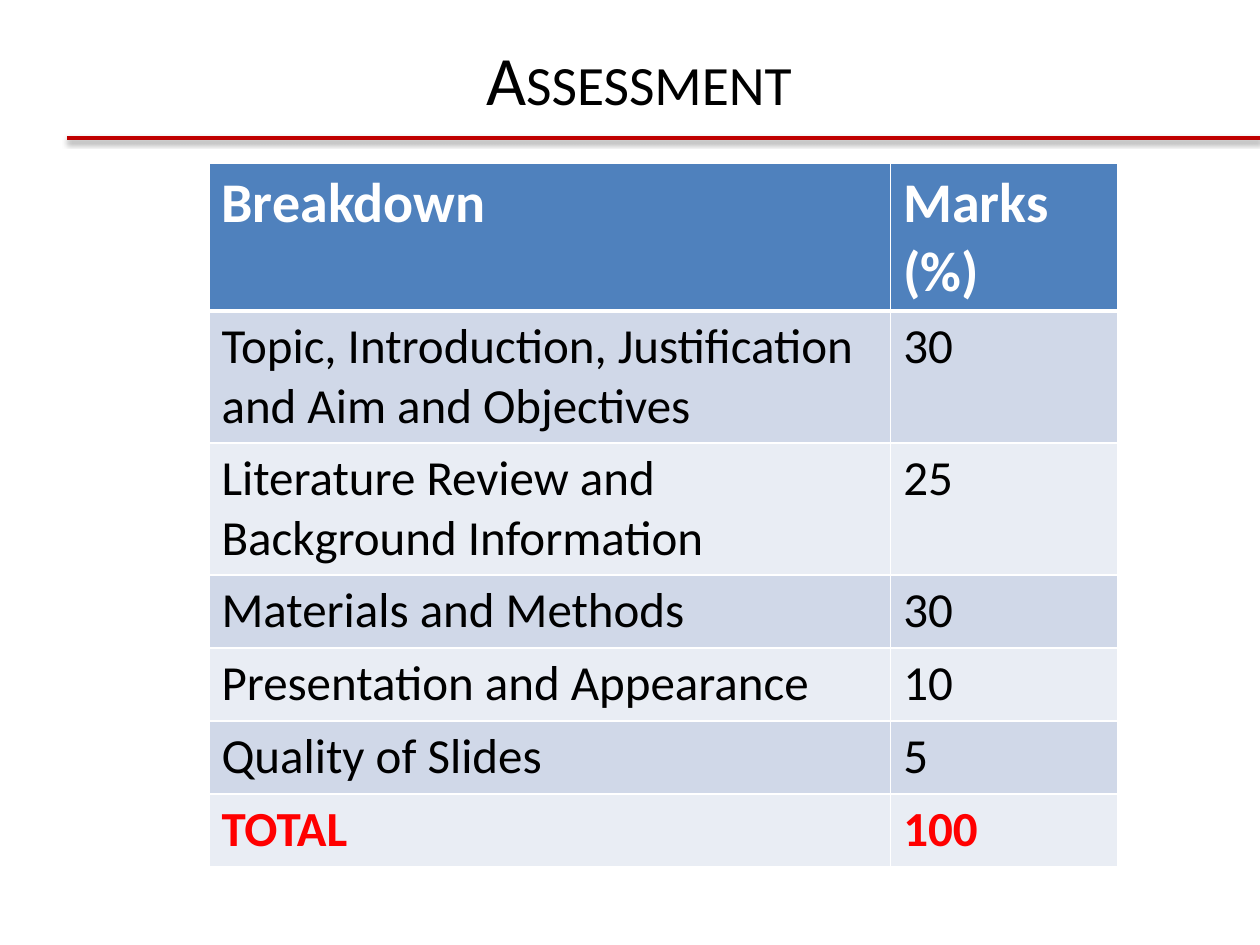
from dataclasses import dataclass

from lxml.etree import SubElement
from pptx import Presentation
from pptx.dml.color import RGBColor
from pptx.enum.shapes import MSO_CONNECTOR
from pptx.enum.text import MSO_ANCHOR, PP_ALIGN
from pptx.oxml import parse_xml
from pptx.oxml.ns import nsdecls, qn
from pptx.util import Pt

SCALE = 914400 / 126


@dataclass(frozen=True)
class Theme:
    face: str = "Calibri"
    black: str = "000000"
    white: str = "FFFFFF"
    red: str = "FF0000"
    rule: str = "C00000"
    head: str = "4F81BD"
    bands: tuple = ("D0D8E8", "E9EDF4")
    title_pt: float = 39.6
    head_pt: float = 32
    body_pt: float = 28


THEME = Theme()

ROWS = [
    ("Breakdown", "Marks (%)"),
    ("Topic, Introduction, Justification and Aim and Objectives", "30"),
    ("Literature Review and Background Information", "25"),
    ("Materials and Methods", "30"),
    ("Presentation and Appearance", "10"),
    ("Quality of Slides", "5"),
    ("TOTAL", "100"),
]


def px(num):
    return round(num * SCALE)


def style(font, color, **look):
    for name, value in {"name": THEME.face, **look}.items():
        setattr(font, name, value)
    font.color.rgb = RGBColor.from_string(color)


def add_title(slide, box, text):
    frame = slide.shapes.add_textbox(*map(px, box)).text_frame
    for name, value in {"word_wrap": True, "vertical_anchor": MSO_ANCHOR.MIDDLE}.items():
        setattr(frame, name, value)
    para = frame.paragraphs[0]
    para.alignment = PP_ALIGN.CENTER
    run = para.add_run()
    run.text = text
    style(run.font, THEME.black, size=Pt(THEME.title_pt))
    run._r.get_or_add_rPr().set("cap", "small")


def add_rule(slide, box):
    left, top, width, height = box
    ends = map(px, (left, top, left + width, top + height))
    rule = slide.shapes.add_connector(MSO_CONNECTOR.STRAIGHT, *ends)
    rule.line.color.rgb = RGBColor.from_string(THEME.rule)
    rule.line.width = Pt(2.5)
    # Soft shadow straight below the rule
    rule._element.spPr.append(parse_xml(
        f'<a:effectLst {nsdecls("a")}>'
        f'<a:outerShdw blurRad="{Pt(3.1)}" dist="{Pt(1.6)}" dir="5400000" rotWithShape="0">'
        f'<a:srgbClr val="{THEME.black}"><a:alpha val="38000"/></a:srgbClr>'
        '</a:outerShdw></a:effectLst>'))


def set_edges(cell, widths):
    props = cell._tc.get_or_add_tcPr()
    for spot, (side, width) in enumerate(widths.items()):
        edge = parse_xml(
            f'<a:ln{side} {nsdecls("a")} w="{Pt(width)}"><a:solidFill>'
            f'<a:srgbClr val="{THEME.white}"/></a:solidFill></a:ln{side}>')
        props.insert(spot, edge)


def add_marks(slide, box, rows):
    left, top, width, height = box
    shape = slide.shapes.add_table(len(rows), 2, *map(px, box))
    table = shape.table
    # Columns split three to one; rows follow their line counts
    for col, share in zip(table.columns, (0.75, 0.25)):
        col.width = px(width * share)
    tall = {0: 148, 1: 132, 2: 132}
    rest = (height - sum(tall.values())) / (len(rows) - len(tall))
    for r, words in enumerate(rows):
        table.rows[r].height = px(tall.get(r, rest))
        first, last = r == 0, r == len(rows) - 1
        fill = THEME.head if first else THEME.bands[(r - 1) % 2]
        color = THEME.white if first else THEME.red if last else THEME.black
        size = THEME.head_pt if first else THEME.body_pt
        for c, text in enumerate(words):
            cell = table.cell(r, c)
            cell.fill.solid()
            cell.fill.fore_color.rgb = RGBColor.from_string(fill)
            set_edges(cell, {"L": 1, "R": 1, "T": 3 if r == 1 else 1, "B": 3 if first else 1})
            run = cell.text_frame.paragraphs[0].add_run()
            run.text = text
            style(run.font, color, size=Pt(size), bold=first or last)


def main():
    deck = Presentation()
    deck.slide_width, deck.slide_height = px(1260), px(945)
    slide = deck.slides.add_slide(deck.slide_layouts[6])
    add_rule(slide, (67, 138, 1193, 0))
    add_title(slide, (72, 33, 1134, 90), "Assessment")
    add_marks(slide, (209, 163, 909, 704), ROWS)
    deck.save("out.pptx")


if __name__ == "__main__":
    main()
